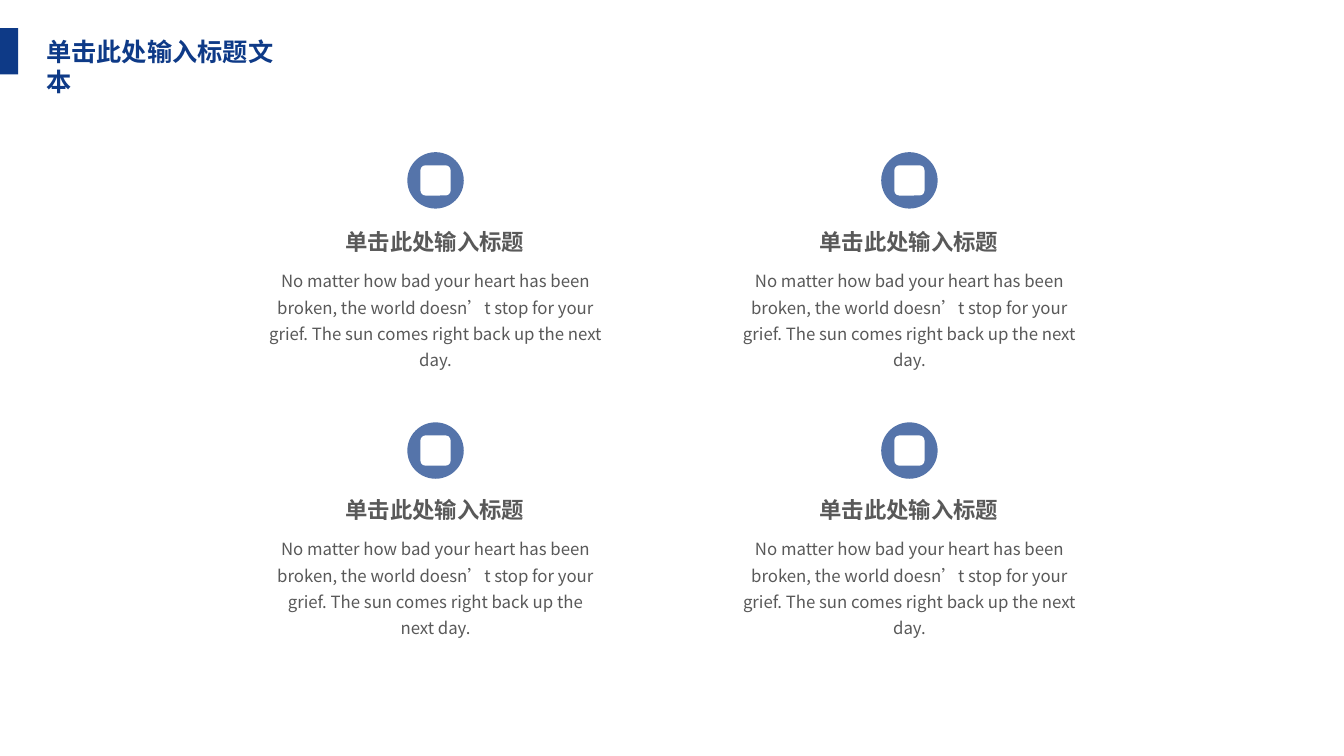
"""Build a slide with a title and four icon cards in a two by two grid."""
from dataclasses import dataclass

from lxml import etree
from pptx import Presentation
from pptx.dml.color import RGBColor
from pptx.enum.shapes import MSO_SHAPE
from pptx.enum.text import MSO_AUTO_SIZE, PP_ALIGN
from pptx.oxml.ns import qn
from pptx.util import Inches, Pt

RECTANGLE = MSO_SHAPE.RECTANGLE
OVAL = MSO_SHAPE.OVAL
ROUNDED = MSO_SHAPE.ROUNDED_RECTANGLE
GROW = MSO_AUTO_SIZE.SHAPE_TO_FIT_TEXT
LEFT, CENTER = PP_ALIGN.LEFT, PP_ALIGN.CENTER


@dataclass(frozen=True)
class Theme:
    font: str = "Noto Sans CJK SC"
    navy: RGBColor = RGBColor(0x0E, 0x3A, 0x87)
    gray: RGBColor = RGBColor(0x59, 0x59, 0x59)
    white: RGBColor = RGBColor(0xFF, 0xFF, 0xFF)
    title_size: int = 18
    heading_size: int = 16
    body_size: int = 12
    disc_alpha: int = 70


theme = Theme()
presentation = Presentation()
presentation.slide_width = Inches(13.33)
presentation.slide_height = Inches(7.5)
slide = presentation.slides.add_slide(presentation.slide_layouts[6])


def add_shape(shapes, kind, left, top, width, height, color):
    shape = shapes.add_shape(kind, Inches(left), Inches(top), Inches(width), Inches(height))
    shape.shadow.inherit = False
    shape.fill.solid()
    shape.fill.fore_color.rgb = color
    shape.line.fill.background()
    return shape


def add_text(text, left, top, width, height, size, color, bold=False, align=LEFT, wrap=True):
    box = slide.shapes.add_textbox(Inches(left), Inches(top), Inches(width), Inches(height))
    frame = box.text_frame
    frame.word_wrap = wrap
    frame.auto_size = GROW
    frame.text = text
    paragraph = frame.paragraphs[0]
    paragraph.alignment = align
    run = paragraph.runs[0]
    run.font.name = theme.font
    run.font.size = Pt(size)
    run.font.bold = bold
    run.font.color.rgb = color
    east_asian = etree.SubElement(run.font.fill.fore_color and run._r.get_or_add_rPr(), qn("a:ea"))
    east_asian.set("typeface", theme.font)
    return frame


title = add_text("单击此处输入标题文本", 0.38, 0.32, 2.65, 0.38,
                 theme.title_size, theme.navy, bold=True)
title.margin_left = title.margin_right = Inches(0.08)
title.margin_top = title.margin_bottom = Inches(0.04)
add_shape(slide.shapes, RECTANGLE, 0, 0.28, 0.18, 0.46, theme.navy)

HEADING = "单击此处输入标题"
BODY = ("No matter how bad your heart has been broken, the world doesn’t stop for your grief. "
        "The sun comes right back up the next day.")
DISC = 0.56
SYMBOL = 0.3
HEADING_WIDTH = 1.98
column_centers = (4.32, 9.02)
row_tops = ((1.51, 2.21), (4.19, 4.87))
body_widths = ((3.61, 3.51), (3.48, 3.59))

for (disc_top, heading_top), widths in zip(row_tops, body_widths):
    for center, body_width in zip(column_centers, widths):
        icon = slide.shapes.add_group_shape()
        disc = add_shape(icon.shapes, OVAL, center - DISC / 2, disc_top, DISC, DISC, theme.navy)
        disc_color = disc.element.spPr.find(qn("a:solidFill")).find(qn("a:srgbClr"))
        etree.SubElement(disc_color, qn("a:alpha")).set("val", str(theme.disc_alpha * 1000))
        add_shape(icon.shapes, ROUNDED, center - SYMBOL / 2, disc_top + (DISC - SYMBOL) / 2,
                  SYMBOL, SYMBOL, theme.white)
        add_text(HEADING, center - HEADING_WIDTH / 2, heading_top, HEADING_WIDTH, 0.37,
                 theme.heading_size, theme.gray, bold=True, wrap=False)
        body = add_text(BODY, center - body_width / 2, heading_top + 0.37, body_width, 1.15,
                        theme.body_size, theme.gray, align=CENTER)
        body.paragraphs[0].line_spacing = 1.3

presentation.save("out.pptx")
